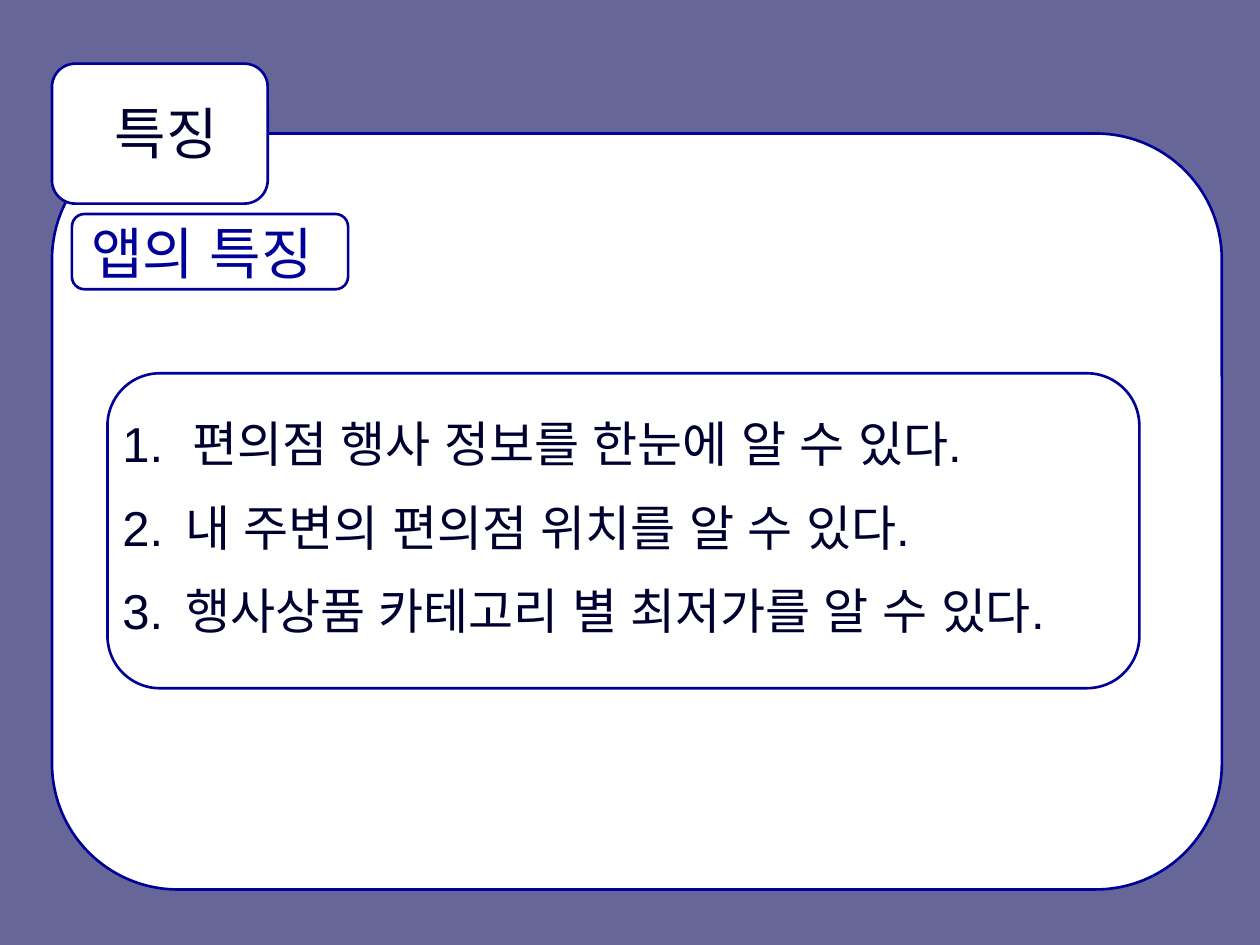
from lxml.etree import SubElement
from pptx import Presentation
from pptx.dml.color import RGBColor
from pptx.enum.shapes import MSO_SHAPE
from pptx.enum.text import MSO_ANCHOR, MSO_AUTO_SIZE, PP_ALIGN
from pptx.oxml.ns import qn
from pptx.util import Pt

SLATE = RGBColor(0x66, 0x66, 0x99)
WHITE = RGBColor(0xFF, 0xFF, 0xFF)
BLUE = RGBColor(0x00, 0x00, 0x99)
INK = RGBColor(0x00, 0x00, 0x30)
LATIN = "Arial"
KOREAN = "Noto Sans CJK KR"
POINTS = [
    ("편의점 행사 정보를 한눈에 알 수 있다.", 40),
    ("내 주변의 편의점 위치를 알 수 있다.", 36),
    ("행사상품 카테고리 별 최저가를 알 수 있다.", 36),
]


def style(para, face, size, color, align=PP_ALIGN.LEFT):
    """Set the Latin and East Asian font and the alignment of a paragraph."""
    para.font.name = face
    para.font.size = Pt(size)
    para.font.color.rgb = color
    para.alignment = align
    SubElement(para._p.pPr.find(qn("a:defRPr")), qn("a:ea"), typeface=face)


def fit(frame, inset=0):
    """Centre a text frame vertically with equal insets."""
    frame.word_wrap = True
    frame.auto_size = MSO_AUTO_SIZE.NONE
    frame.vertical_anchor = MSO_ANCHOR.MIDDLE
    frame.margin_left = frame.margin_right = Pt(inset)
    frame.margin_top = frame.margin_bottom = Pt(inset)


def place(shape, left, top, width, height):
    """Move and size a shape, and bring it to the front."""
    shape.left, shape.top = Pt(left), Pt(top)
    shape.width, shape.height = Pt(width), Pt(height)
    tree = shape.element.getparent()
    tree.remove(shape.element)
    tree.append(shape.element)


def add_panel(slide, left, top, width, height):
    """Add a white rounded panel with a blue outline."""
    panel = slide.shapes.add_shape(
        MSO_SHAPE.ROUNDED_RECTANGLE, Pt(left), Pt(top), Pt(width), Pt(height))
    panel.shadow.inherit = False
    panel.fill.solid()
    panel.fill.fore_color.rgb = WHITE
    panel.line.color.rgb = BLUE
    panel.line.width = Pt(1.5)
    return panel


def number(para, start, indent):
    """Give a paragraph an automatic number with a hanging indent."""
    props = para._p.get_or_add_pPr()
    props.set("marL", str(Pt(indent)))
    props.set("indent", str(-Pt(indent)))
    SubElement(props, qn("a:buFont"), typeface=KOREAN)
    SubElement(props, qn("a:buAutoNum"), type="arabicPeriod", startAt=str(start))


def fill_list(frame):
    """Write the numbered points."""
    fit(frame)
    for start, (text, indent) in enumerate(POINTS, 1):
        para = frame.paragraphs[0] if start == 1 else frame.add_paragraph()
        para.text = text
        para.space_before = Pt(0)
        para.space_after = Pt(14 if start < len(POINTS) else 0)
        number(para, start, indent)
        style(para, LATIN, 28, INK)


def main():
    """Build and save the slide."""
    deck = Presentation()
    deck.slide_width, deck.slide_height = Pt(720), Pt(540)
    slide = deck.slides.add_slide(deck.slide_layouts[1])
    slide.background.fill.solid()
    slide.background.fill.fore_color.rgb = SLATE
    title, body = slide.placeholders

    add_panel(slide, 29.7, 76.3, 668.5, 432)
    add_panel(slide, 29.7, 36.4, 123.3, 80)
    add_panel(slide, 61.4, 213.3, 589.7, 180)
    place(body, 70, 220, 572, 162)
    fill_list(body.text_frame)

    place(title, 14.7, 30.5, 160.5, 90)
    title.text = "특징"
    fit(title.text_frame, 4)
    style(title.text_frame.paragraphs[0], KOREAN, 32, INK, PP_ALIGN.CENTER)

    label = add_panel(slide, 41.1, 122.3, 157.8, 43)
    label.text_frame.text = " 앱의 특징"
    fit(label.text_frame)
    style(label.text_frame.paragraphs[0], LATIN, 32, BLUE)
    deck.save("out.pptx")


if __name__ == "__main__":
    main()
